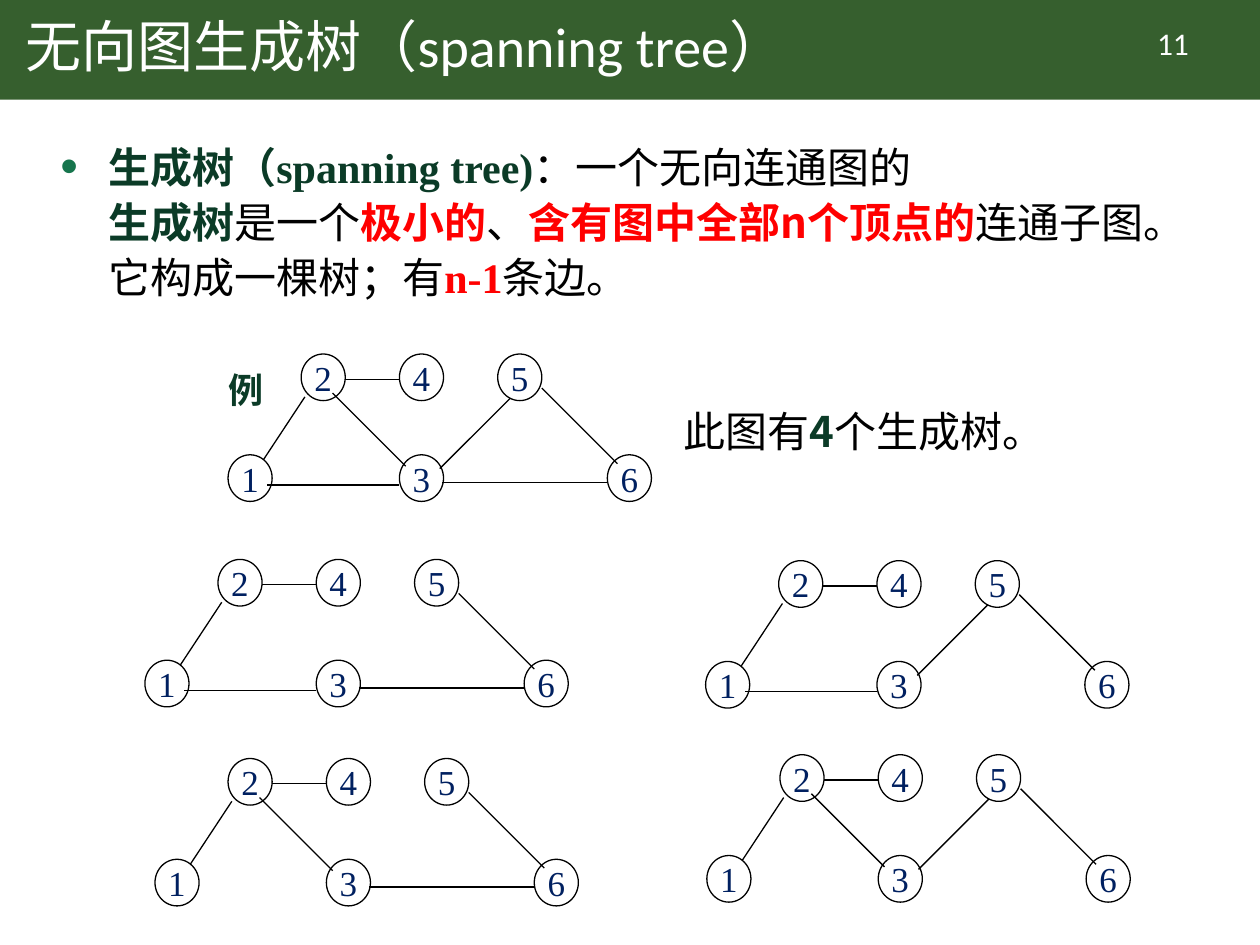
from dataclasses import dataclass

from lxml import etree
from pptx import Presentation
from pptx.dml.color import RGBColor
from pptx.enum.shapes import MSO_CONNECTOR, MSO_SHAPE
from pptx.enum.text import MSO_ANCHOR, MSO_AUTO_SIZE, PP_ALIGN
from pptx.oxml.ns import qn
from pptx.util import Inches, Pt

STRAIGHT = MSO_CONNECTOR.STRAIGHT
OVAL, RECTANGLE = MSO_SHAPE.OVAL, MSO_SHAPE.RECTANGLE
TOP, MIDDLE = MSO_ANCHOR.TOP, MSO_ANCHOR.MIDDLE
LEFT, CENTER = PP_ALIGN.LEFT, PP_ALIGN.CENTER
FIXED = MSO_AUTO_SIZE.NONE

COLORS = {
    "banner": "365F2E",
    "white": "FFFFFF",
    "black": "000000",
    "term": "0B3B27",
    "key": "FF0000",
    "node": "002060",
    "bullet": "16754D",
}
SANS, SERIF, TITLE_FONT = "Noto Sans CJK SC", "Times New Roman", "Calibri"

NODE_WIDTH, NODE_HEIGHT = 0.35, 0.37
# Offsets from a graph's left and top edges
NODES = {
    "2": (0.58, 0), "4": (1.36, 0), "5": (2.14, 0),
    "1": (0, 0.8), "3": (1.36, 0.8), "6": (3.01, 0.8),
}
EDGES = {
    "2-4": (0.93, 0.2, 1.36, 0.2),
    "2-3": (0.83, 0.31, 1.41, 0.89),
    "3-6": (3.01, 1.02, 1.7, 1.02),
    "3-5": (1.68, 0.91, 2.24, 0.35),
    "5-6": (2.49, 0.27, 3.09, 0.87),
    "1-3": (1.36, 1.04, 0.31, 1.04),
    "1-2": (0.28, 0.84, 0.61, 0.34),
}


@dataclass
class TextRun:
    text: str
    color: str = "black"
    bold: bool = False
    font: str = SANS


@dataclass
class Graph:
    left: float
    top: float
    missing: tuple[str, ...] = ()


GRAPHS = [
    Graph(1.81, 2.81),
    Graph(1.15, 4.44, ("2-3", "3-5")),
    Graph(5.6, 4.45, ("2-3", "3-6")),
    Graph(1.23, 6.02, ("3-5", "1-3")),
    Graph(5.61, 5.99, ("3-6", "1-3")),
]

DEFINITION_START = [
    TextRun("生成树", "term", True),
    TextRun("（spanning tree)", "term", True, SERIF),
    TextRun("：一个无向连通图的"),
]
DEFINITION_REST = [
    TextRun("生成树", "term", True),
    TextRun("是一个"),
    TextRun("极小的", "key", True),
    TextRun("、"),
    TextRun("含有图中全部n个顶点的", "key", True),
    TextRun("连通子图。它构成一棵树；有"),
    TextRun("n-1", "key", True, SERIF),
    TextRun("条边。"),
]
TREE_COUNT = [TextRun("此图有"), TextRun("4", "term", True), TextRun("个生成树。")]


def color(name: str) -> RGBColor:
    return RGBColor.from_string(COLORS[name])


def place(shape, left: float, top: float, width: float, height: float) -> None:
    box = {"left": left, "top": top, "width": width, "height": height}
    for name, value in box.items():
        setattr(shape, name, Inches(value))


def format_frame(frame, anchor=TOP, wrap: bool = True) -> None:
    values = {"auto_size": FIXED, "word_wrap": wrap, "vertical_anchor": anchor}
    for name, value in values.items():
        setattr(frame, name, value)


def add_runs(paragraph, runs: list[TextRun], size: float) -> None:
    for item in runs:
        run = paragraph.add_run()
        run.text = item.text
        values = {"size": Pt(size), "bold": item.bold, "name": item.font}
        for name, value in values.items():
            setattr(run.font, name, value)
        run.font.color.rgb = color(item.color)
        properties = run.font._element
        etree.SubElement(properties, qn("a:ea"), typeface=SANS)


def add_label(slide, box: tuple, runs: list[TextRun], size: float,
              alignment=LEFT, anchor=TOP, wrap: bool = True) -> None:
    label = slide.shapes.add_textbox(*map(Inches, box))
    format_frame(label.text_frame, anchor, wrap)
    paragraph = label.text_frame.paragraphs[0]
    paragraph.alignment = alignment
    add_runs(paragraph, runs, size)


def add_header(slide, text: str) -> None:
    banner = slide.shapes.add_shape(RECTANGLE, 0, 0, Inches(10), Inches(0.79))
    banner.shadow.inherit = False
    banner.fill.solid()
    banner.fill.fore_color.rgb = color("banner")
    banner.line.fill.background()

    title = slide.shapes.title
    title.element.addprevious(banner.element)
    place(title, 0, 0, 8.62, 0.79)
    format_frame(title.text_frame, MIDDLE)
    paragraph = title.text_frame.paragraphs[0]
    paragraph.alignment = LEFT
    paragraph.line_spacing = 0.9
    add_runs(paragraph, [TextRun(text, "white", font=TITLE_FONT)], 32)


def add_bullet(paragraph, indent: float) -> None:
    properties = paragraph._p.get_or_add_pPr()
    properties.set("marL", str(Inches(indent)))
    properties.set("indent", str(-Inches(indent)))
    bullet_color = etree.SubElement(properties, qn("a:buClr"))
    etree.SubElement(bullet_color, qn("a:srgbClr"), val=COLORS["bullet"])
    etree.SubElement(properties, qn("a:buSzPct"), val="120000")
    etree.SubElement(properties, qn("a:buChar"), char="•")


def add_definition(slide) -> None:
    body = slide.placeholders[1]
    place(body, 0.38, 1.03, 8.99, 1.68)
    format_frame(body.text_frame)
    paragraph = body.text_frame.paragraphs[0]
    add_bullet(paragraph, 0.38)
    paragraph.line_spacing = 1.1
    paragraph.space_before = Pt(0)
    add_runs(paragraph, DEFINITION_START, 24)
    paragraph.add_line_break()
    add_runs(paragraph, DEFINITION_REST, 24)


def format_line(line) -> None:
    line.color.rgb = color("black")
    line.width = Pt(0.75)


def draw_graph(slide, graph: Graph) -> None:
    for name, (x, y) in NODES.items():
        box = (graph.left + x, graph.top + y, NODE_WIDTH, NODE_HEIGHT)
        node = slide.shapes.add_shape(OVAL, *map(Inches, box))
        node.shadow.inherit = False
        node.fill.background()
        format_line(node.line)
        format_frame(node.text_frame, MIDDLE, wrap=False)
        paragraph = node.text_frame.paragraphs[0]
        paragraph.alignment = CENTER
        add_runs(paragraph, [TextRun(name, "node", font=SERIF)], 20)
    for name, (x1, y1, x2, y2) in EDGES.items():
        if name in graph.missing:
            continue
        ends = (graph.left + x1, graph.top + y1, graph.left + x2, graph.top + y2)
        edge = slide.shapes.add_connector(STRAIGHT, *map(Inches, ends))
        format_line(edge.line)
        etree.SubElement(edge._element.spPr, qn("a:effectLst"))


def main() -> None:
    presentation = Presentation()
    presentation.slide_width, presentation.slide_height = Inches(10), Inches(7.5)
    slide = presentation.slides.add_slide(presentation.slide_layouts[1])
    add_header(slide, " 无向图生成树（spanning tree）")
    add_definition(slide)
    for graph in GRAPHS:
        draw_graph(slide, graph)
    add_label(slide, (1.71, 2.87, 0.48, 0.44), [TextRun("例", "term", True)], 20,
              CENTER, MIDDLE, wrap=False)
    add_label(slide, (5.33, 3.17, 3.37, 0.5), TREE_COUNT, 24)
    add_label(slide, (8.71, 0.14, 1.2, 0.4),
              [TextRun("11", "white", font=TITLE_FONT)], 18, CENTER)
    presentation.save("out.pptx")


if __name__ == "__main__":
    main()
